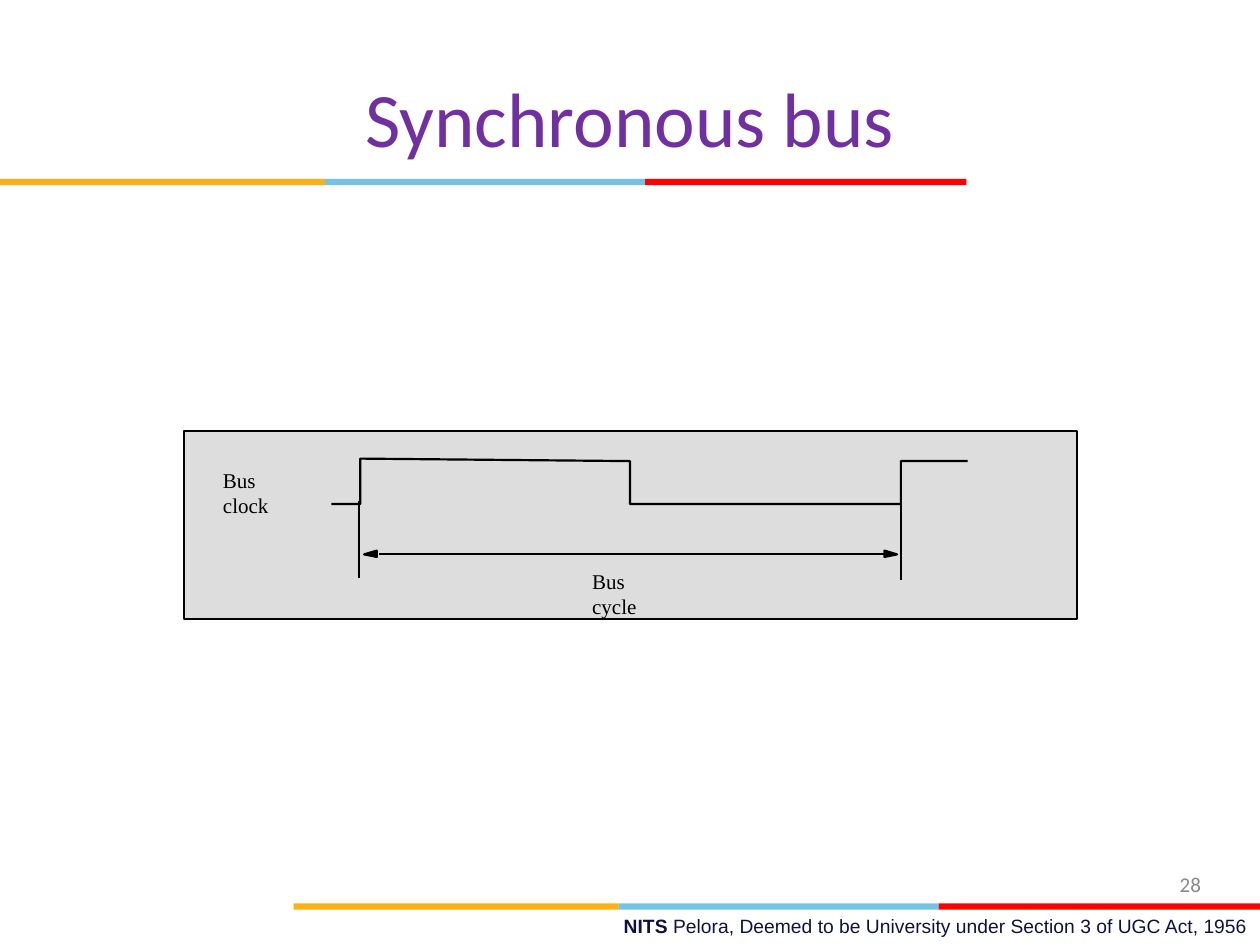
from typing import NamedTuple

from lxml import etree
from pptx import Presentation
from pptx import util as u
from pptx.dml.color import RGBColor
from pptx.enum import shapes, text
from pptx.oxml.ns import qn

BLACK = "000000"
STRIPE_COLOURS = ("FCB017", "76C2E5", "FF0000")
STRIPE_EDGES = (0, 2.58, 5.12, 7.67)
CLOCK_POINTS = ((7.68, 3.66), (7.15, 3.66), (7.15, 4), (5, 4),
                (5, 3.66), (2.86, 3.64), (2.86, 4), (2.63, 4))


class Span(NamedTuple):
    words: str
    bold: bool = False


class Label(NamedTuple):
    left: float
    top: float
    width: float
    height: float
    spans: tuple[Span, ...]
    font: str
    size: float
    colour: str
    align: text.PP_ALIGN = text.PP_ALIGN.LEFT
    anchor: text.MSO_ANCHOR = text.MSO_ANCHOR.MIDDLE
    tight: bool = False


class Line(NamedTuple):
    start: tuple[float, float]
    end: tuple[float, float]
    weight: float = 1


LABELS = (
    Label(3.58, 7.21, 6.42, 0.29,
          (Span("NITS ", True),
           Span("Pelora, Deemed to be University under Section 3 of UGC Act, 1956")),
          "Arial", 11, "101141", text.PP_ALIGN.RIGHT, text.MSO_ANCHOR.TOP),
    Label(0.5, 0.3, 9, 1.25, (Span("Synchronous bus"),),
          "Calibri", 44, "7030A0", text.PP_ALIGN.CENTER),
    Label(7.3, 6.82, 2.33, 0.4, (Span("28"),),
          "Calibri", 12, "898989", text.PP_ALIGN.RIGHT),
    Label(1.77, 3.71, 0.66, 0.2, (Span("Bus clock"),), "Times New Roman", 12, BLACK,
          anchor=text.MSO_ANCHOR.TOP, tight=True),
    Label(4.7, 4.51, 0.65, 0.2, (Span("Bus cycle"),), "Times New Roman", 12, BLACK,
          anchor=text.MSO_ANCHOR.TOP, tight=True),
)

LINES = (
    Line((2.85, 3.98), (2.85, 4.59)),
    Line((7.15, 3.99), (7.15, 4.6)),
    Line((7.02, 4.4), (3.01, 4.4), 1.25),
)


def rgb(colour: str) -> RGBColor:
    return RGBColor.from_string(colour)


def paint(shape, fill: str | None = None, weight: float | None = None) -> None:
    shape.shadow.inherit = False
    if fill:
        shape.fill.solid()
        shape.fill.fore_color.rgb = rgb(fill)
    else:
        shape.fill.background()
    if weight:
        shape.line.color.rgb = rgb(BLACK)
        shape.line.width = u.Pt(weight)
    else:
        shape.line.fill.background()


def add_box(page, left: float, top: float, width: float, height: float,
            fill: str, weight: float | None = None) -> None:
    box = page.shapes.add_shape(
        shapes.MSO_SHAPE.RECTANGLE,
        u.Inches(left), u.Inches(top), u.Inches(width), u.Inches(height))
    paint(box, fill, weight)


def add_stripe(page, left: float, top: float) -> None:
    for start, end, colour in zip(STRIPE_EDGES, STRIPE_EDGES[1:], STRIPE_COLOURS):
        add_box(page, left + start, top, end - start, 0.05, colour)


def add_label(page, label: Label) -> None:
    box = page.shapes.add_textbox(
        u.Inches(label.left), u.Inches(label.top),
        u.Inches(label.width), u.Inches(label.height))
    frame = box.text_frame
    frame.word_wrap = not label.tight
    frame.vertical_anchor = label.anchor
    if label.tight:
        frame.auto_size = text.MSO_AUTO_SIZE.SHAPE_TO_FIT_TEXT
        frame.margin_left = frame.margin_right = 0
        frame.margin_top = frame.margin_bottom = 0
    para = frame.paragraphs[0]
    para.alignment = label.align
    para.font.name = label.font
    para.font.size = u.Pt(label.size)
    para.font.color.rgb = rgb(label.colour)
    for span in label.spans:
        run = para.add_run()
        run.text = span.words
        if span.bold:
            run.font.bold = True


def add_outline(page, points: tuple[tuple[float, float], ...],
                closed: bool = False, fill: str | None = None) -> None:
    corners = [(u.Inches(x), u.Inches(y)) for x, y in points]
    builder = page.shapes.build_freeform(*corners[0])
    builder.add_line_segments(corners[1:], close=closed)
    paint(builder.convert_to_shape(), fill, 1.25)


def add_arrowhead(page, base: float, tip: float) -> None:
    add_outline(page, ((base, 4.37), (tip, 4.4), (base, 4.42)), True, BLACK)


def add_line(page, line: Line) -> None:
    connector = page.shapes.add_connector(
        shapes.MSO_CONNECTOR.STRAIGHT,
        *(u.Inches(length) for length in line.start + line.end))
    connector.line.color.rgb = rgb(BLACK)
    connector.line.width = u.Pt(line.weight)
    etree.SubElement(connector.element.spPr, qn("a:effectLst"))


def main() -> None:
    deck = Presentation()
    deck.slide_width = u.Inches(10)
    deck.slide_height = u.Inches(7.5)
    page = deck.slides.add_slide(deck.slide_layouts[6])

    add_stripe(page, 2.33, 7.17)
    add_stripe(page, 0, 1.42)
    add_box(page, 1.46, 3.42, 7.09, 1.49, "DDDDDD", 1)
    add_outline(page, CLOCK_POINTS)
    for line in LINES:
        add_line(page, line)
    add_arrowhead(page, 2.99, 2.89)
    add_arrowhead(page, 7.02, 7.12)
    for label in LABELS:
        add_label(page, label)

    deck.save("out.pptx")


if __name__ == "__main__":
    main()
